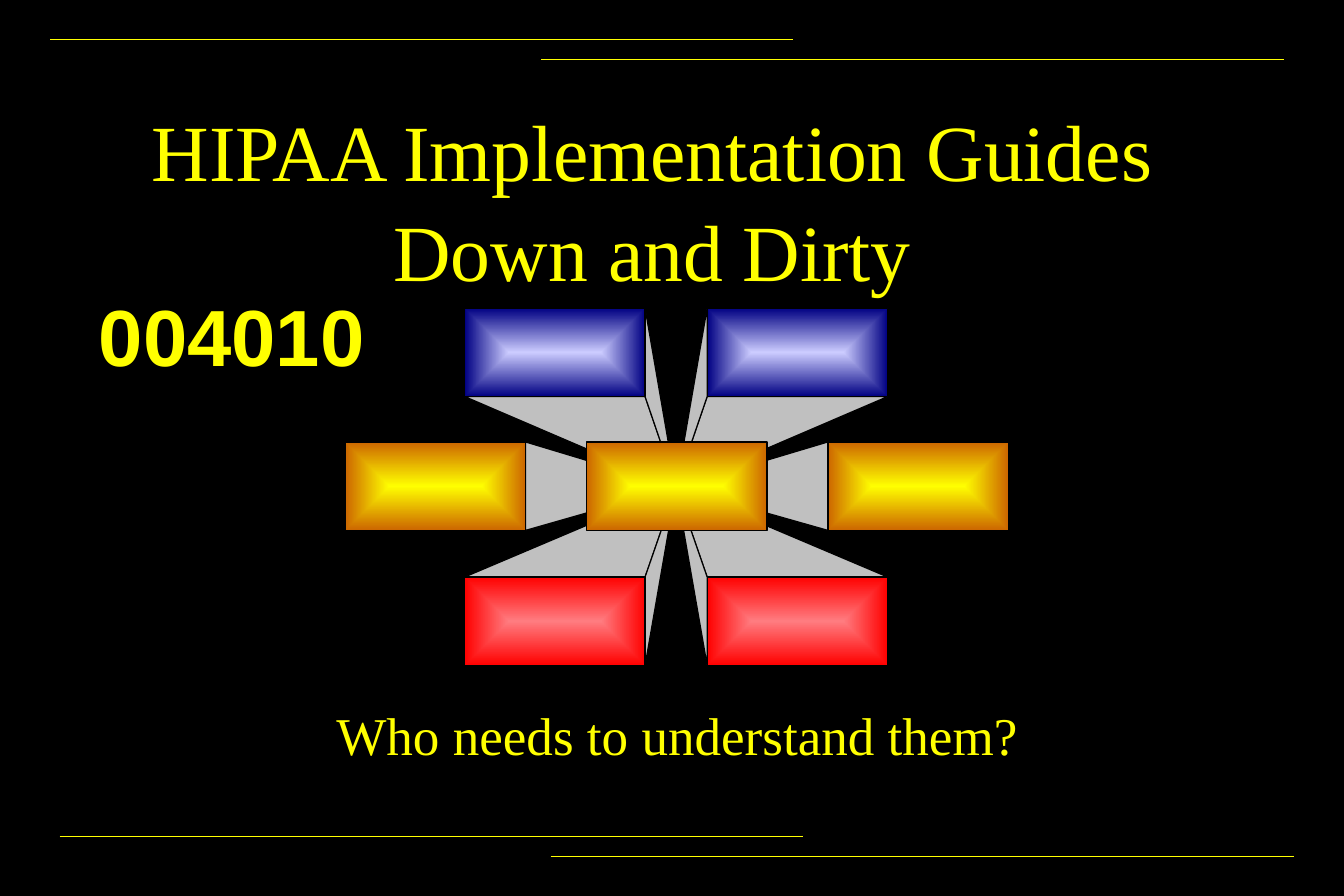
from dataclasses import dataclass

from lxml import etree
from pptx import Presentation
from pptx.dml.color import RGBColor
from pptx.enum.shapes import MSO_CONNECTOR, MSO_SHAPE
from pptx.enum.text import MSO_ANCHOR, MSO_AUTO_SIZE, PP_ALIGN
from pptx.oxml.ns import qn
from pptx.slide import Slide
from pptx.util import Inches, Pt

RECTANGLE = MSO_SHAPE.RECTANGLE
STRAIGHT = MSO_CONNECTOR.STRAIGHT
CENTER = PP_ALIGN.CENTER
TOP, MIDDLE = MSO_ANCHOR.TOP, MSO_ANCHOR.MIDDLE
FIXED, GROW = MSO_AUTO_SIZE.NONE, MSO_AUTO_SIZE.SHAPE_TO_FIT_TEXT

BLACK = RGBColor(0x00, 0x00, 0x00)
YELLOW = RGBColor(0xFF, 0xFF, 0x00)
ORANGE = RGBColor(0xCC, 0x66, 0x00)
LAVENDER = RGBColor(0xCC, 0xCC, 0xFF)
NAVY = RGBColor(0x00, 0x00, 0x82)
PINK = RGBColor(0xFF, 0x7C, 0x80)
RED = RGBColor(0xFF, 0x00, 0x00)
GRAY = RGBColor(0xC0, 0xC0, 0xC0)

HUB_X, HUB_Y = 5.66, 4.08
BOX_WIDTH, BOX_HEIGHT = 1.51, 0.74
RULE_LENGTH = 6.22


@dataclass(frozen=True)
class Box:
    left: float
    top: float
    inner: RGBColor
    outer: RGBColor

    @property
    def right(self) -> float:
        return self.left + BOX_WIDTH

    @property
    def bottom(self) -> float:
        return self.top + BOX_HEIGHT


@dataclass(frozen=True)
class Rule:
    left: float
    top: float


RULES = [Rule(0.42, 0.33), Rule(4.53, 0.5), Rule(0.5, 7), Rule(4.61, 7.17)]
OUTER_BOXES = [
    Box(3.89, 2.58, LAVENDER, NAVY),
    Box(5.92, 2.58, LAVENDER, NAVY),
    Box(3.89, 4.83, PINK, RED),
    Box(5.92, 4.83, PINK, RED),
    Box(2.89, 3.7, YELLOW, ORANGE),
    Box(6.93, 3.7, YELLOW, ORANGE),
]
HUB_BOX = Box(4.91, 3.7, YELLOW, ORANGE)


def add_rule(slide: Slide, rule: Rule) -> None:
    connector = slide.shapes.add_connector(
        STRAIGHT, Inches(rule.left), Inches(rule.top),
        Inches(rule.left + RULE_LENGTH), Inches(rule.top))
    connector.line.color.rgb = YELLOW
    connector.line.width = Pt(0.75)
    etree.SubElement(connector.element.spPr, qn("a:effectLst"))


def add_text(slide: Slide, text: str, *, left: float, top: float, width: float,
             height: float, size: float, font: str = "Times New Roman",
             bold: bool = False, anchor: MSO_ANCHOR = TOP,
             auto_size: MSO_AUTO_SIZE = FIXED, space_before: float = 0,
             line_spacing: float = 1.0) -> None:
    text_box = slide.shapes.add_textbox(
        Inches(left), Inches(top), Inches(width), Inches(height))
    frame = text_box.text_frame
    frame.word_wrap = True
    frame.auto_size = auto_size
    frame.vertical_anchor = anchor
    paragraph = frame.paragraphs[0]
    paragraph.text = text
    paragraph.alignment = CENTER
    paragraph.space_before = Pt(space_before)
    paragraph.line_spacing = line_spacing
    for run in paragraph.runs:
        run.font.name = font
        run.font.size = Pt(size)
        run.font.bold = bold
        run.font.color.rgb = YELLOW


def add_facet(slide: Slide, start: tuple[float, float], end: tuple[float, float]) -> None:
    """Draw the triangle between one box edge and the centre of the hub."""
    builder = slide.shapes.build_freeform(Inches(HUB_X), Inches(HUB_Y))
    builder.add_line_segments([(Inches(x), Inches(y)) for x, y in (start, end)], close=True)
    shape = builder.convert_to_shape()
    shape.shadow.inherit = False
    shape.fill.solid()
    shape.fill.fore_color.rgb = GRAY
    shape.line.color.rgb = BLACK
    shape.line.width = Pt(0)


def add_facets(slide: Slide, box: Box) -> None:
    side = box.right if box.right < HUB_X else box.left
    if box.bottom < HUB_Y or box.top > HUB_Y:
        edge = box.bottom if box.bottom < HUB_Y else box.top
        add_facet(slide, (box.left, edge), (box.right, edge))
    add_facet(slide, (side, box.top), (side, box.bottom))


def add_box(slide: Slide, box: Box) -> None:
    shape = slide.shapes.add_shape(
        RECTANGLE, Inches(box.left), Inches(box.top), Inches(BOX_WIDTH), Inches(BOX_HEIGHT))
    shape.shadow.inherit = False
    shape.line.color.rgb = BLACK
    shape.line.width = Pt(0)
    shape.fill.gradient()
    for stop, color in zip(shape.fill.gradient_stops, (box.inner, box.outer)):
        stop.color.rgb = color
    # Turn the linear gradient into one that runs from the centre
    gradient = shape.element.spPr.find(qn("a:gradFill"))
    gradient.remove(gradient.find(qn("a:lin")))
    center_path = etree.SubElement(gradient, qn("a:path"))
    center_path.set("path", "rect")
    target = etree.SubElement(center_path, qn("a:fillToRect"))
    for edge in "ltrb":
        target.set(edge, "50000")


def main() -> None:
    presentation = Presentation()
    presentation.slide_width = Inches(11.25)
    presentation.slide_height = Inches(7.5)
    slide = presentation.slides.add_slide(presentation.slide_layouts[6])
    slide.background.fill.solid()
    slide.background.fill.fore_color.rgb = BLACK

    # Rules at the top and bottom
    for rule in RULES:
        add_rule(slide, rule)

    # Title and subtitle
    add_text(slide, "HIPAA Implementation Guides\vDown and Dirty", left=0.65, top=1.03,
             width=9.62, height=1.25, size=48, anchor=MIDDLE, line_spacing=1.04)
    add_text(slide, "Who needs to understand them?", left=2.17, top=5.83,
             width=7, height=0.33, size=32, space_before=8)

    # Boxes joined to the hub
    for box in OUTER_BOXES:
        add_facets(slide, box)
        add_box(slide, box)
    add_box(slide, HUB_BOX)

    # Version number
    add_text(slide, "004010", left=0.69, top=2.35, width=2.5, height=0.9, size=48,
             font="Arial", bold=True, auto_size=GROW, space_before=30)

    presentation.save("out.pptx")


if __name__ == "__main__":
    main()
